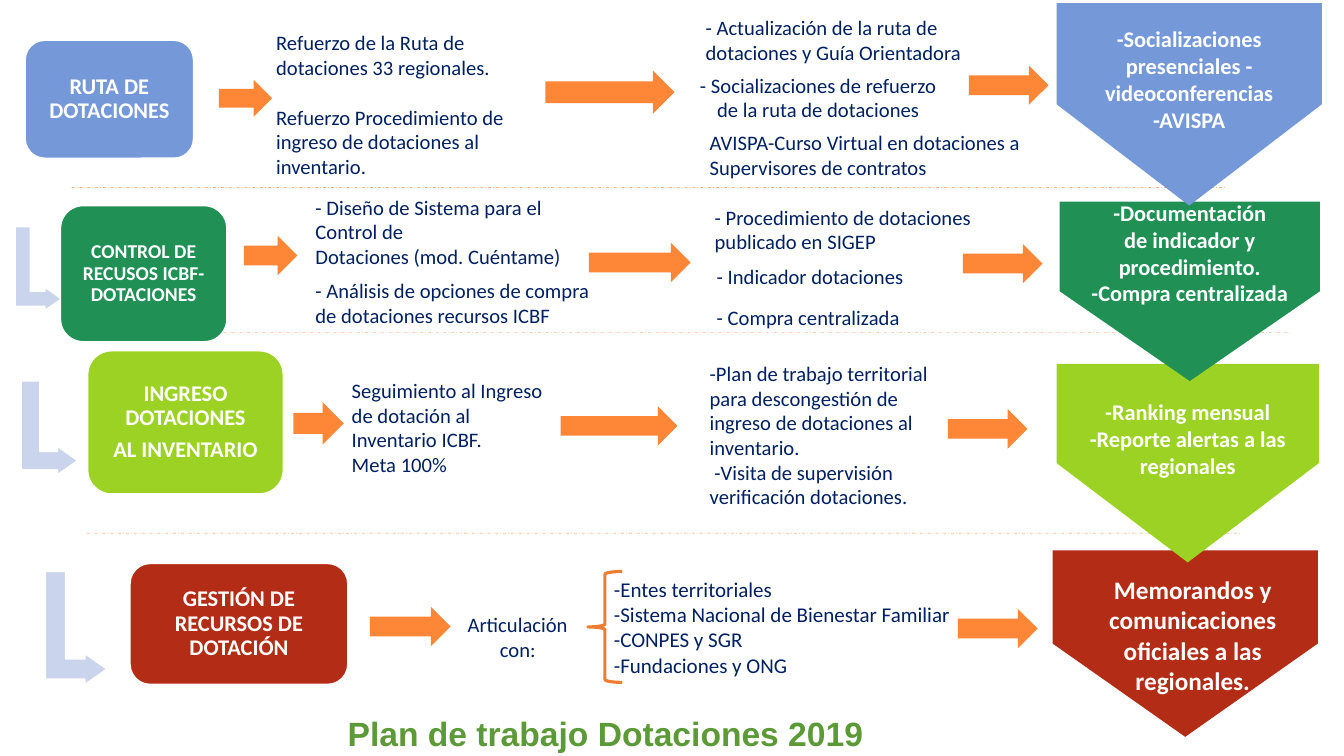
import pptx
import pptx.util
import pptx.dml.color
import pptx.enum.dml
import pptx.enum.shapes
import pptx.enum.text
import pptx.oxml.ns
import lxml.etree

Inches, Pt = pptx.util.Inches, pptx.util.Pt
SHAPE = pptx.enum.shapes.MSO_SHAPE
ALIGN = pptx.enum.text.PP_ALIGN
ANCHOR = pptx.enum.text.MSO_ANCHOR
qn = pptx.oxml.ns.qn

COLORS = {
    "white": "FFFFFF", "navy": "002060", "blue": "7598D9", "green": "209055",
    "lime": "9CD224", "red": "B32C16", "orange": "FE8637", "divider": "FD8231",
    "brace": "ED7D31", "step": "CAD4ED", "title": "5C9A38",
}

# Content: boxes are (left, top, width, height) in inches as seen on the slide
TITLE = ("Plan de trabajo Dotaciones 2019", (2.58, 7.07, 6.85, 0.46))

TOPICS = [  # box, colour, size, paragraphs
    ((0.25, 0.4, 1.67, 1.17), "blue", 16, ["RUTA DE DOTACIONES"]),
    ((0.6, 2.04, 1.65, 1.35), "green", 14, ["CONTROL DE RECUSOS ICBF-DOTACIONES"]),
    ((0.87, 3.48, 1.94, 1.42), "lime", 16, ["INGRESO DOTACIONES", "AL INVENTARIO"]),
    ((1.29, 5.59, 2.16, 1.2), "red", 16, ["GESTIÓN DE RECURSOS DE DOTACIÓN"]),
]

STEPS = [(0.15, 2.25, 0.46, 0.83), (0.21, 3.78, 0.56, 0.93), (0.45, 5.67, 0.61, 1.12)]

RESULTS = [  # box, colour, room kept free below the text, paragraphs
    ((10.48, 0.03, 2.63, 2.01), "blue", 0,
     ["-Socializaciones presenciales - videoconferencias", "-AVISPA"]),
    ((10.51, 2.0, 2.58, 1.78), "green", 0.27,
     ["-Documentación", "de indicador y procedimiento.", "-Compra centralizada"]),
    ((10.48, 3.61, 2.6, 1.97), "lime", 0,
     ["-Ranking mensual", "-Reporte alertas a las regionales"]),
    ((10.44, 5.46, 2.63, 1.85), "red", 0, []),
]
MEMOS = ("Memorandos y comunicaciones oficiales a las regionales.", (10.72, 5.65, 2.22, 1.31))

ACTIONS = [  # left, top, width, lines, format, paragraphs
    (2.64, 0.25, 2.63, 6, {"gap": 17.9},
     ["Refuerzo de la Ruta de dotaciones 33 regionales.",
      "Refuerzo Procedimiento de ingreso de dotaciones al inventario."]),
    (6.9, 0.1, 3.18, 2, {}, ["- Actualización de la ruta de dotaciones y Guía Orientadora"]),
    (6.8, 0.67, 2.63, 2, {"align": ALIGN.CENTER},
     ["- Socializaciones de refuerzo de la ruta de dotaciones"]),
    (6.94, 1.24, 3.41, 2, {},
     ["AVISPA-Curso Virtual en dotaciones a Supervisores de contratos"]),
    (3.03, 1.88, 2.82, 4, {},
     ["- Diseño de Sistema para el Control de", "Dotaciones (mod. Cuéntame)"]),
    (3.03, 2.71, 3.03, 2, {},
     ["- Análisis de opciones de compra de dotaciones recursos ICBF"]),
    (6.99, 1.98, 2.77, 2, {}, ["- Procedimiento de dotaciones publicado en SIGEP"]),
    (7.01, 2.57, 2.32, 1, {}, ["- Indicador dotaciones"]),
    (7.01, 2.98, 2.32, 1, {}, ["- Compra centralizada"]),
    (3.39, 3.7, 2.17, 4, {},
     ["Seguimiento al Ingreso de dotación al Inventario ICBF.", "Meta 100%"]),
    (6.94, 3.53, 2.38, 6, {},
     ["-Plan de trabajo territorial para descongestión de ingreso de dotaciones al inventario.",
      " -Visita de supervisión verificación dotaciones."]),
    (4.22, 6.02, 1.83, 2, {"align": ALIGN.CENTER}, ["Articulación", "con:"]),
    (5.99, 5.67, 3.58, 4, {"size": 15, "wrap": False},
     ["-Entes territoriales", "-Sistema Nacional de Bienestar Familiar",
      "-CONPES y SGR", "-Fundaciones y ONG"]),
]
LINE_HEIGHT, TEXT_MARGIN = 0.247, 0.1

ARROWS = [
    (2.17, 0.79, 0.53, 0.37), (5.41, 0.7, 1.28, 0.43), (9.61, 0.65, 0.79, 0.39),
    (2.42, 2.34, 0.53, 0.39), (5.84, 2.41, 1.01, 0.39), (9.55, 2.42, 0.79, 0.39),
    (2.91, 3.99, 0.5, 0.42), (5.56, 4.03, 1.16, 0.39), (9.4, 4.06, 0.79, 0.39),
    (3.67, 6.02, 0.8, 0.39), (9.5, 6.04, 0.79, 0.39),
]
BRACE = (5.83, 5.67, 0.34, 1.1)
DIVIDERS = [(0.71, 1.86), (1.36, 3.3), (0.86, 5.29)]
DIVIDER_LENGTH = 11.45

deck = pptx.Presentation()
deck.slide_width, deck.slide_height = Inches(13.33), Inches(7.5)
slide = deck.slides.add_slide(deck.slide_layouts[6])


def rgb(name):
    return pptx.dml.color.RGBColor.from_string(COLORS[name])


def write(holder, paragraphs, size=14.7, color="navy", bold=False, font="Calibri",
          align=ALIGN.LEFT, gap=0, spacing=1.0, wrap=True, **frame_format):
    frame = holder.text_frame
    frame.word_wrap = wrap
    for key, value in frame_format.items():
        setattr(frame, key, value)
    for index, text in enumerate(paragraphs):
        line = frame.paragraphs[0] if index == 0 else frame.add_paragraph()
        line.alignment, line.line_spacing = align, spacing
        line.space_before = Pt(gap if index else 0)
        run = line.add_run()
        run.text = text
        for key, value in {"name": font, "size": Pt(size), "bold": bold}.items():
            setattr(run.font, key, value)
        run.font.color.rgb = rgb(color)


def textbox(box, paragraphs, **text_format):
    write(slide.shapes.add_textbox(*map(Inches, box)), paragraphs, **text_format)


def draw(kind, box, fill=None, line=None, width=1, turned=False):
    left, top, wide, high = box
    if turned:  # a quarter turn swaps the sides around the same centre
        box = (left + (wide - high) / 2, top + (high - wide) / 2, high, wide)
    shape = slide.shapes.add_shape(kind, *map(Inches, box))
    shape.shadow.inherit = False
    shape.rotation = 90 if turned else 0
    if fill:
        shape.fill.solid()
        shape.fill.fore_color.rgb = rgb(fill)
    else:
        shape.fill.background()
    if line:
        shape.line.color.rgb, shape.line.width = rgb(line), Pt(width)
    else:
        shape.line.fill.background()
    return shape


# Dividers between the rows
for left, top in DIVIDERS:
    divider = slide.shapes.add_connector(
        pptx.enum.shapes.MSO_CONNECTOR.STRAIGHT,
        *map(Inches, (left, top, left + DIVIDER_LENGTH, top)))
    divider.line.color.rgb, divider.line.width = rgb("divider"), Pt(0.5)
    divider.line.dash_style = pptx.enum.dml.MSO_LINE.DASH_DOT
    properties = divider._element.spPr
    tint = properties.find(".//" + qn("a:srgbClr"))
    lxml.etree.SubElement(tint, qn("a:alpha")).set("val", "56000")
    lxml.etree.SubElement(properties, qn("a:effectLst"))

# Topics and the steps that lead down to them
for box in STEPS:
    step = draw(SHAPE.BENT_UP_ARROW, box, "step", "white", turned=True)
    for index, share in enumerate((0.328, 0.25, 0.358)):
        step.adjustments[index] = share
topic_margins = {"margin_" + side: Inches(0.07) for side in ("left", "top", "right", "bottom")}
for box, color, size, paragraphs in TOPICS:
    write(draw(SHAPE.ROUNDED_RECTANGLE, box, color, "white"), paragraphs, size=size,
          color="white", bold=True, align=ALIGN.CENTER, gap=0.35 * size, spacing=0.9,
          vertical_anchor=ANCHOR.MIDDLE, **topic_margins)

# Results: each one overlaps the next below
for box, color, room, paragraphs in reversed(RESULTS):
    result = draw(SHAPE.PENTAGON, box, color, turned=True)
    write(result, paragraphs, size=16, color="white", bold=True, align=ALIGN.CENTER,
          vertical_anchor=ANCHOR.MIDDLE, margin_right=Inches(0.1 + room))
    result.text_frame._txBody.bodyPr.set("vert", "vert270")
textbox(MEMOS[1], [MEMOS[0]], size=18, color="white", bold=True, align=ALIGN.CENTER)

# Arrows, brace and actions
for box in ARROWS:
    draw(SHAPE.RIGHT_ARROW, box, "orange")
draw(SHAPE.LEFT_BRACE, BRACE, line="brace", width=2.25)
for left, top, width, lines, text_format, paragraphs in ACTIONS:
    textbox((left, top, width, TEXT_MARGIN + lines * LINE_HEIGHT), paragraphs, **text_format)

# Title
textbox(TITLE[1], [TITLE[0]], size=24, color="title", bold=True, font="Arial",
        align=ALIGN.CENTER, spacing=0.9)

deck.save("out.pptx")
